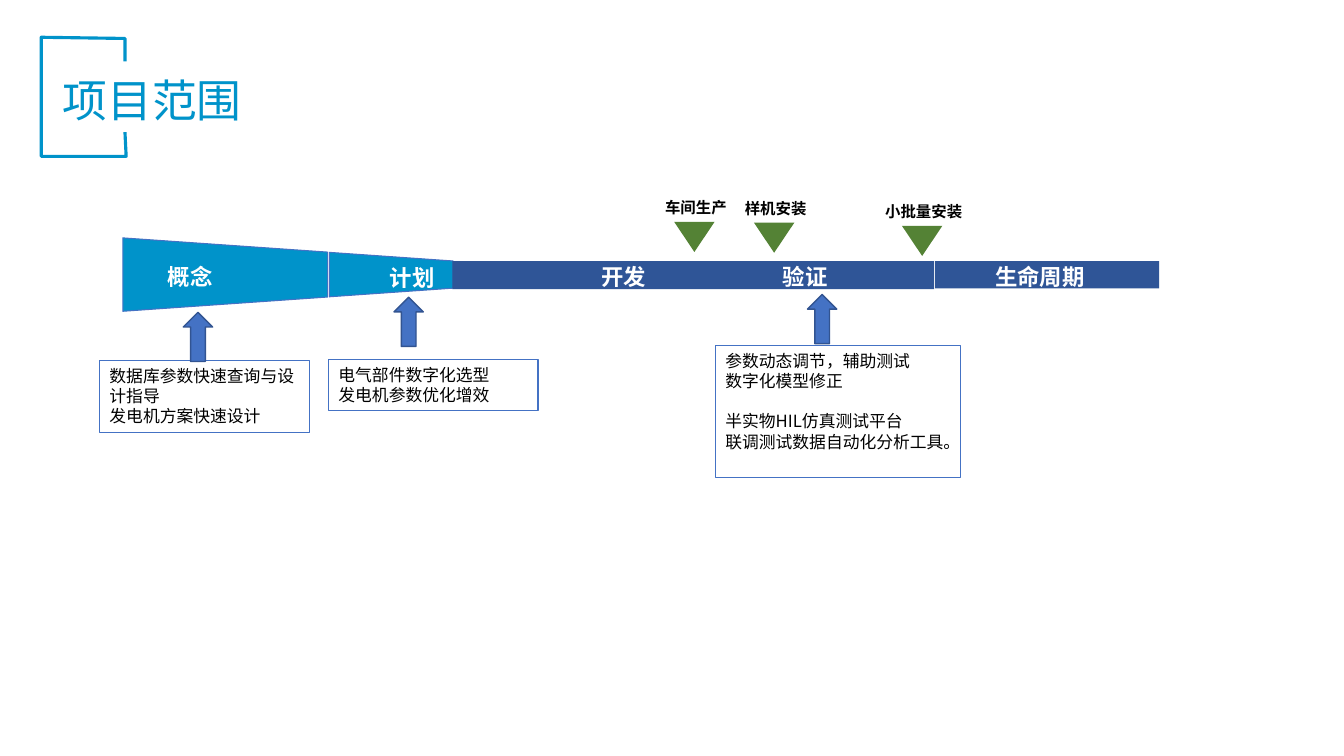
from pptx import Presentation
from pptx.dml.color import RGBColor
from pptx.enum.shapes import MSO_SHAPE
from pptx.enum.text import MSO_ANCHOR, MSO_AUTO_SIZE, PP_ALIGN
from pptx.oxml.ns import qn
from pptx.util import Cm, Pt
from lxml.etree import SubElement

FONT = "Noto Sans CJK SC"
COLORS = {
    "cyan": "0093CA", "blue": "4472C4", "edge": "325491", "navy": "2F5597",
    "green": "548235", "black": "000000", "white": "FFFFFF",
}


def write_text(shape, text, size, color, bold=False, align=PP_ALIGN.LEFT,
               anchor=MSO_ANCHOR.MIDDLE):
    frame = shape.text_frame
    frame.text = text
    frame.word_wrap = True
    frame.auto_size = MSO_AUTO_SIZE.NONE
    frame.vertical_anchor = anchor
    for paragraph in frame.paragraphs:
        paragraph.alignment = align
        paragraph.line_spacing = Pt(size * 1.2)
        for run in paragraph.runs:
            run.font.name = FONT
            run.font.size = Pt(size)
            run.font.bold = bold
            run.font.color.rgb = RGBColor.from_string(COLORS[color])
            SubElement(run._r.get_or_add_rPr(), qn("a:ea"), typeface=FONT)


def add_block(kind, left, top, width, height, fill=None, line=None, weight=0.75):
    shape = slide.shapes.add_shape(kind, Cm(left), Cm(top), Cm(width), Cm(height))
    shape.shadow.inherit = False
    if fill:
        shape.fill.solid()
        shape.fill.fore_color.rgb = RGBColor.from_string(COLORS[fill])
    else:
        shape.fill.background()
    if line:
        shape.line.color.rgb = RGBColor.from_string(COLORS[line])
        shape.line.width = Pt(weight)
    else:
        shape.line.fill.background()
    return shape


presentation = Presentation()
presentation.slide_width = Cm(33.87)
presentation.slide_height = Cm(19.05)
slide = presentation.slides.add_slide(presentation.slide_layouts[5])

# Title and its open bracket
title = slide.shapes.title
title.left, title.top, title.width, title.height = Cm(1.32), Cm(1.7), Cm(24.77), Cm(1.63)
write_text(title, "项目范围", 32, "cyan")

bracket_points = [(3.15, 3.33), (3.18, 3.94), (1.04, 3.94),
                  (1.04, 0.94), (3.15, 0.97), (3.15, 1.55)]
corners = [(Cm(x), Cm(y)) for x, y in bracket_points]
builder = slide.shapes.build_freeform(*corners[0])
builder.add_line_segments(corners[1:], close=False)
bracket = builder.convert_to_shape()
bracket.shadow.inherit = False
bracket.fill.background()
bracket.line.color.rgb = RGBColor.from_string(COLORS["cyan"])
bracket.line.width = Pt(2.25)

# Notes: left, top, width, height, arrow left, arrow top, lines
notes = [
    (8.28, 9.07, 5.28, 1.27, 9.93, 7.49,
     ["电气部件数字化选型", "发电机参数优化增效"]),
    (2.51, 9.09, 5.28, 1.8, 4.62, 7.87,
     ["数据库参数快速查询与设计指导", "发电机方案快速设计"]),
    (18.03, 8.71, 6.17, 3.33, 20.35, 7.42,
     ["参数动态调节，辅助测试", "数字化模型修正",
      "半实物HIL仿真测试平台", "联调测试数据自动化分析工具。"]),
]
for left, top, width, height, arrow_left, arrow_top, lines in notes:
    note = add_block(MSO_SHAPE.RECTANGLE, left, top, width, height, line="blue")
    write_text(note, "\n".join(lines), 12, "black", anchor=MSO_ANCHOR.TOP)
    if len(lines) == 4:
        note.text_frame.paragraphs[2].space_before = Pt(14.4)
    add_block(MSO_SHAPE.UP_ARROW, arrow_left, arrow_top, 0.74, 1.24, "blue", "edge", 1)

# Phase band: two tapering blocks, then two bars
for left, top, width, height in [(4.75, 4.34, 1.85, 5.16), (9.3, 5.36, 1.12, 3.12)]:
    taper = add_block(MSO_SHAPE.TRAPEZOID, left, top, width, height, "cyan", "blue")
    taper.adjustments[0] = 0.194
    taper.rotation = 90
add_block(MSO_SHAPE.RECTANGLE, 11.4, 6.58, 12.14, 0.71, "navy")
add_block(MSO_SHAPE.RECTANGLE, 23.57, 6.58, 5.64, 0.69, "navy")

# Labels: text, centre x, centre y, size, colour
labels = [
    ("概念", 4.79, 6.96, 16, "white"),
    ("计划", 10.39, 6.99, 16, "white"),
    ("开发", 15.72, 6.96, 16, "white"),
    ("验证", 20.29, 6.96, 16, "white"),
    ("生命周期", 26.21, 6.96, 16, "white"),
]

# Milestones: text, centre x, triangle top
for name, center, top in [("车间生产", 17.5, 5.59), ("样机安装", 19.51, 5.61),
                          ("小批量安装", 23.24, 5.69)]:
    add_block(MSO_SHAPE.FLOWCHART_MERGE, center - 0.51, top, 1.02, 0.76, "green")
    labels.append((name, center + 0.04, top - 0.36, 11, "black"))

for name, center, middle, size, color in labels:
    label = slide.shapes.add_textbox(Cm(center - 1.5), Cm(middle - 0.47), Cm(3), Cm(0.94))
    write_text(label, name, size, color, bold=True, align=PP_ALIGN.CENTER)

presentation.save("out.pptx")
